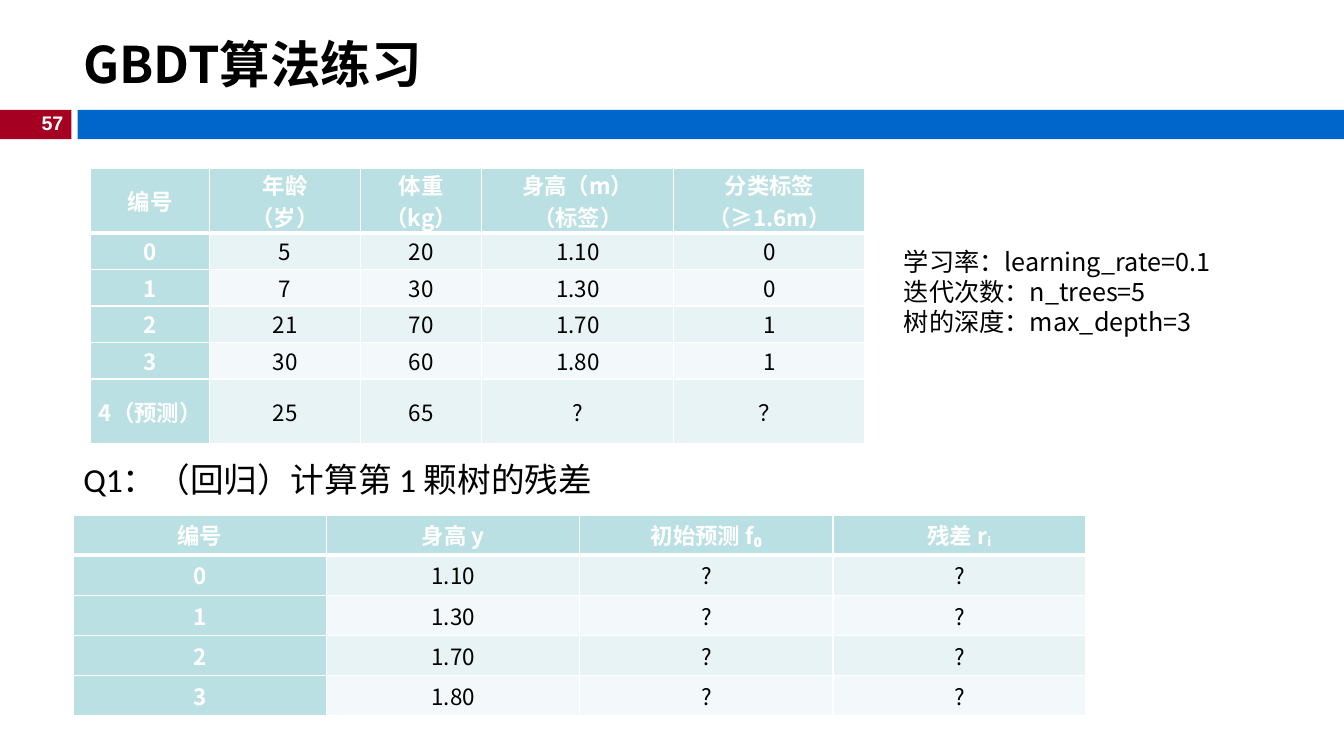
from dataclasses import dataclass

from lxml import etree
from pptx import Presentation
from pptx import util as u
from pptx.dml.color import RGBColor
from pptx.enum import shapes, text
from pptx.oxml import ns

TITLE = "GBDT算法练习"
PAGE_NUMBER = "57"
QUESTION = "Q1：（回归）计算第 1 颗树的残差"
SETTINGS = [
    ("学习率：", "learning_rate=0.1"),
    ("迭代次数：", "n_trees=5"),
    ("树的深度：", "max_depth=3"),
]
SAMPLES = [
    ("编号", "年龄\n（岁）", "体重\n（kg）", "身高（m）\n（标签）", "分类标签\n（≥1.6m）"),
    ("0", "5", "20", "1.10", "0"),
    ("1", "7", "30", "1.30", "0"),
    ("2", "21", "70", "1.70", "1"),
    ("3", "30", "60", "1.80", "1"),
    ("4（预测）", "25", "65", "?", "？"),
]
RESIDUALS = [
    ("编号", "身高 y", "初始预测 f₀", "残差 rᵢ"),
    ("0", "1.10", "?", "?"),
    ("1", "1.30", "?", "?"),
    ("2", "1.70", "?", "?"),
    ("3", "1.80", "?", "?"),
]


@dataclass(frozen=True)
class Theme:
    black: str = "000000"
    white: str = "FFFFFF"
    red: str = "A50021"
    blue: str = "0066CC"
    header: str = "BBE0E3"
    odd_row: str = "E7F3F4"
    even_row: str = "F3F9FA"
    sans: str = "Noto Sans CJK SC"
    serif: str = "Times New Roman"
    latin: str = "Calibri"
    number: str = "Arial"
    title_size: int = 36
    question_size: int = 24
    settings_size: int = 18
    table_size: int = 16
    number_size: int = 14


theme = Theme()


def set_font(target, name, size, color=theme.black, bold=False):
    font = target.font
    font.name, font.size, font.bold = name, u.Pt(size), bold
    font.color.rgb = RGBColor.from_string(color)
    east_asian = etree.Element(ns.qn("a:ea"), typeface=theme.sans)
    font._element.find(ns.qn("a:latin")).addnext(east_asian)


def add_bar(page, left, width, color):
    bar = page.shapes.add_shape(
        shapes.MSO_SHAPE.RECTANGLE, u.Cm(left), u.Cm(2.77), u.Cm(width), u.Cm(0.74))
    bar.shadow.inherit = False
    bar.fill.solid()
    bar.fill.fore_color.rgb = RGBColor.from_string(color)
    bar.line.fill.background()


def add_text(page, left, top, width, height, wrap=True):
    box = page.shapes.add_textbox(u.Cm(left), u.Cm(top), u.Cm(width), u.Cm(height))
    box.text_frame.word_wrap = wrap
    return box.text_frame


def set_borders(cell, top, bottom):
    properties = cell._tc.get_or_add_tcPr()
    widths = {"lnL": 1, "lnR": 1, "lnT": top, "lnB": bottom}
    for position, (side, width) in enumerate(widths.items()):
        line = etree.Element(ns.qn("a:" + side), w=str(u.Pt(width)))
        fill = etree.SubElement(line, ns.qn("a:solidFill"))
        etree.SubElement(fill, ns.qn("a:srgbClr"), val=theme.white)
        properties.insert(position, line)


def format_cell(cell, value, row, column):
    heading = row == 0 or column == 0
    band = theme.odd_row if row % 2 else theme.even_row
    cell.text = value
    cell.vertical_anchor = text.MSO_ANCHOR.MIDDLE
    cell.margin_left = cell.margin_right = u.Cm(0.18)
    cell.margin_top = cell.margin_bottom = 0
    cell.fill.solid()
    cell.fill.fore_color.rgb = RGBColor.from_string(theme.header if heading else band)
    set_borders(cell, 3 if row == 1 else 1, 3 if row == 0 else 1)
    for para in cell.text_frame.paragraphs:
        para.alignment = text.PP_ALIGN.CENTER
        set_font(para, theme.sans, theme.table_size,
                 theme.white if heading else theme.black, heading)


def add_grid(page, rows, left, top, widths, heights):
    table = page.shapes.add_table(
        len(rows), len(widths), u.Cm(left), u.Cm(top),
        u.Cm(sum(widths)), u.Cm(sum(heights))).table
    table.horz_banding = False
    for column, width in zip(table.columns, widths):
        column.width = u.Cm(width)
    for line, height in zip(table.rows, heights):
        line.height = u.Cm(height)
    for row, values in enumerate(rows):
        for column, value in enumerate(values):
            format_cell(table.cell(row, column), value, row, column)


def add_title(page):
    title = page.shapes.title
    title.left, title.top = u.Cm(1.85), u.Cm(0.66)
    title.width, title.height = u.Cm(15.65), u.Cm(1.88)
    title.text_frame.text = TITLE
    title.text_frame.vertical_anchor = text.MSO_ANCHOR.MIDDLE
    para = title.text_frame.paragraphs[0]
    para.alignment = text.PP_ALIGN.LEFT
    set_font(para, theme.sans, theme.title_size, bold=True)


def add_settings(page):
    frame = add_text(page, 22.38, 6.07, 10.03, 2.57)
    for index, (label, value) in enumerate(SETTINGS):
        para = frame.paragraphs[0] if index == 0 else frame.add_paragraph()
        para.line_spacing = u.Pt(21.6)
        para._p.get_or_add_pPr().set("indent", str(u.Cm(0.15)))
        for content, name in ((label, theme.serif), (value, theme.sans)):
            span = para.add_run()
            span.text = content
            set_font(span, name, theme.settings_size)


def main():
    deck = Presentation()
    deck.slide_width, deck.slide_height = u.Cm(33.87), u.Cm(19.05)
    page = deck.slides.add_slide(deck.slide_layouts[5])
    add_bar(page, 0, 1.8, theme.red)
    add_bar(page, 1.96, 31.91, theme.blue)

    number = add_text(page, 0.74, 2.67, 1.11, 0.86, wrap=False)
    number.text = PAGE_NUMBER
    number.paragraphs[0].alignment = text.PP_ALIGN.RIGHT
    set_font(number.paragraphs[0], theme.number, theme.number_size, theme.white, True)

    add_title(page)
    add_grid(page, SAMPLES, 2.29, 4.24, [2.99, 3.81, 3.05, 4.84, 4.82],
             [1.63] + [0.92] * 4 + [1.63])
    add_grid(page, RESIDUALS, 1.85, 12.98, [6.38] * 4, [1.01] * 5)

    question = add_text(page, 1.85, 11.43, 16.92, 1.27)
    question.text = QUESTION
    question.paragraphs[0].alignment = text.PP_ALIGN.JUSTIFY
    set_font(question.paragraphs[0], theme.latin, theme.question_size)

    add_settings(page)
    deck.save("out.pptx")


if __name__ == "__main__":
    main()
